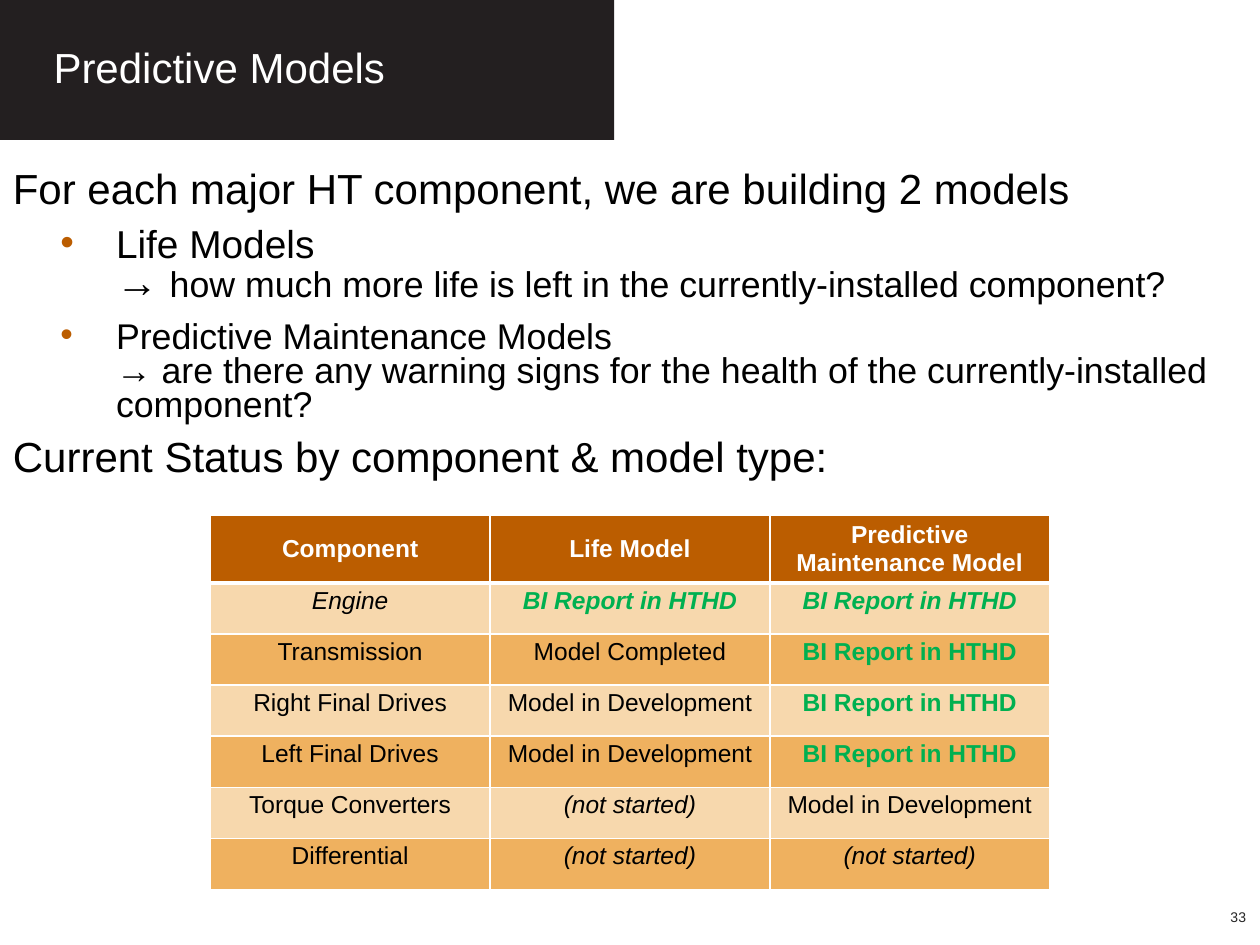
from lxml.etree import SubElement
from pptx import Presentation
from pptx.dml.color import RGBColor
from pptx.enum.shapes import MSO_SHAPE
from pptx.enum.text import MSO_ANCHOR, PP_ALIGN
from pptx.oxml.ns import qn
from pptx.util import Cm, Pt

COLORS = {
    "dark": "231F20", "white": "FFFFFF", "black": "000000", "gray": "262626",
    "rust": "BB5D00", "light": "F7D8AD", "deep": "EFB15F", "green": "00B050",
}
PLAIN = {"color": "black"}
ITALIC = {"color": "black", "italic": True}
READY = {"color": "green", "bold": True}
HEAD = {"color": "white", "bold": True}

REPORT = ("BI Report in HTHD", READY)
BUILD = ("Model in Development", PLAIN)
IDLE = ("(not started)", ITALIC)
STATUS = [
    [("Component", HEAD), ("Life Model", HEAD),
     ("Predictive Maintenance Model", HEAD)],
    [("Engine", ITALIC)] + [(REPORT[0], READY | {"italic": True})] * 2,
    [("Transmission", PLAIN), ("Model Completed", PLAIN), REPORT],
    [("Right Final Drives", PLAIN), BUILD, REPORT],
    [("Left Final Drives", PLAIN), BUILD, REPORT],
    [("Torque Converters", PLAIN), IDLE, BUILD],
    [("Differential", PLAIN), IDLE, IDLE],
]
# Each paragraph: bulleted or not, then lines of (text, size) runs
BODY = [
    (False, [[("For each major HT component, we are building 2 models", 24)]]),
    (True, [[("Life Models", 22.2)],
            [("→ ", 24),
             ("how much more life is left in the currently-installed component?",
              20.4)]]),
    (True, [[("Predictive Maintenance Models", 20.4)],
            [("→ are there any warning signs for the health of the "
              "currently-installed component?", 20.4)]]),
    (False, [[("Current Status by component & model type:", 24)]]),
]


def rgb(name):
    return RGBColor.from_string(COLORS[name])


class Deck:
    """Holds the text style and the current slide."""

    def __init__(self, font):
        self.font = font
        self.deck = Presentation()
        self.deck.slide_width, self.deck.slide_height = Cm(25.4), Cm(19.05)
        self.slide = self.deck.slides.add_slide(self.deck.slide_layouts[6])

    def run(self, para, text, size, color, **style):
        run = para.add_run()
        run.text = text
        values = {"name": self.font, "size": Pt(size)} | style
        for key, value in values.items():
            setattr(run.font, key, value)
        run.font.color.rgb = rgb(color)

    def rect(self, x, y, w, h, color):
        box = self.slide.shapes.add_shape(
            MSO_SHAPE.RECTANGLE, Cm(x), Cm(y), Cm(w), Cm(h))
        box.shadow.inherit = False
        box.fill.solid()
        box.fill.fore_color.rgb = rgb(color)
        box.line.fill.background()

    def frame(self, x, y, w, h, **values):
        frame = self.slide.shapes.add_textbox(
            Cm(x), Cm(y), Cm(w), Cm(h)).text_frame
        for key, value in ({"word_wrap": True} | values).items():
            setattr(frame, key, value)
        return frame

    def label(self, text, place, size, color, **layout):
        para = self.frame(
            *place, vertical_anchor=MSO_ANCHOR.MIDDLE).paragraphs[0]
        for key, value in layout.items():
            setattr(para, key, value)
        self.run(para, text, size, color)

    def bullet(self, para, color):
        props = para._p.get_or_add_pPr()
        props.set("marL", str(Cm(2.08)))
        props.set("indent", str(Cm(-1.12)))
        tint = SubElement(props, qn("a:buClr"))
        SubElement(tint, qn("a:srgbClr"), val=COLORS[color])
        SubElement(props, qn("a:buFont"), typeface=self.font)
        SubElement(props, qn("a:buChar"), char="•")

    def body(self, items, place):
        frame = self.frame(*place)
        for i, (dotted, lines) in enumerate(items):
            para = frame.add_paragraph() if i else frame.paragraphs[0]
            layout = {"line_spacing": 0.8, "space_after": Pt(4.5),
                      "space_before": Pt(4.5 if i else 0)}
            if dotted:
                para.level = 1
                self.bullet(para, "rust")
            for key, value in layout.items():
                setattr(para, key, value)
            for j, line in enumerate(lines):
                if j:
                    para.add_line_break()
                for text, size in line:
                    self.run(para, text, size, "black")

    def edges(self, cell, top, bottom):
        props = cell._tc.get_or_add_tcPr()
        widths = {"lnL": 1, "lnR": 1, "lnT": top, "lnB": bottom}
        for i, (side, width) in enumerate(widths.items()):
            line = props.makeelement(qn(f"a:{side}"), w=str(Pt(width)))
            fill = SubElement(line, qn("a:solidFill"))
            SubElement(fill, qn("a:srgbClr"), val=COLORS["white"])
            props.insert(i, line)

    def table(self, rows, x, y, wide, tall, size):
        """Draw rows; tall holds the header height and the row height."""
        cols = len(rows[0])
        height = tall[0] + tall[1] * (len(rows) - 1)
        table = self.slide.shapes.add_table(
            len(rows), cols, Cm(x), Cm(y), Cm(wide * cols), Cm(height)).table
        table.horz_banding = False
        for col in table.columns:
            col.width = Cm(wide)
        for r, row in enumerate(rows):
            table.rows[r].height = Cm(tall[min(r, 1)])
            back = ("light" if r % 2 else "deep") if r else "rust"
            for c, (text, style) in enumerate(row):
                cell = table.cell(r, c)
                cell.fill.solid()
                cell.fill.fore_color.rgb = rgb(back)
                cell.vertical_anchor = MSO_ANCHOR.TOP if r else MSO_ANCHOR.MIDDLE
                cell.margin_top = cell.margin_bottom = Cm(0.08)
                para = cell.text_frame.paragraphs[0]
                para.alignment = PP_ALIGN.CENTER
                self.run(para, text, size, **({"bold": False} | style))
                self.edges(cell, 3 if r == 1 else 1, 1 if r else 3)


def main():
    deck = Deck("Arial")
    deck.rect(0, 0, 12.38, 2.82, "dark")
    deck.label("Predictive Models", (0.83, 0.23, 15.88, 2.36), 24, "white",
               line_spacing=0.9)
    deck.body(BODY, (0.01, 3.35, 25.37, 7.06))
    deck.table(STATUS, 4.24, 10.39, 5.64, (1.36, 1.03), 14)
    deck.label("33", (24.23, 17.98, 1.14, 1.02), 8, "gray",
               alignment=PP_ALIGN.RIGHT)
    deck.deck.save("out.pptx")


if __name__ == "__main__":
    main()
